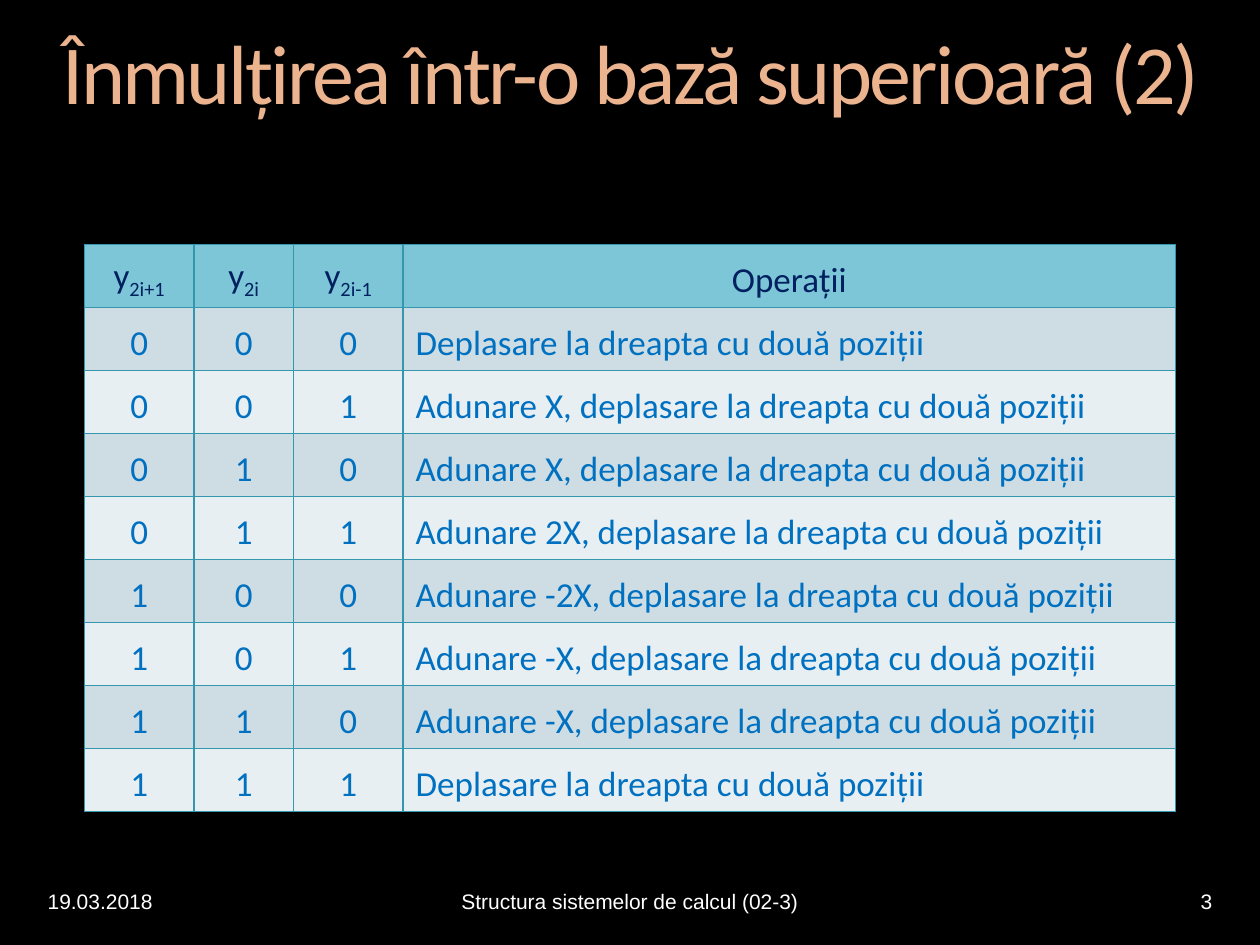
"""Build the slide on multiplication in a higher base, with its table of operations."""
import pptx
import pptx.dml.color
import pptx.enum.text
import pptx.oxml
import pptx.oxml.ns
import pptx.util

Inches = pptx.util.Inches
Pt = pptx.util.Pt
Align = pptx.enum.text.PP_ALIGN
Anchor = pptx.enum.text.MSO_ANCHOR

COLORS = {
    "background": "000000",
    "title": "ECB38F",
    "footer": "FFFFFF",
    "header_text": "002060",
    "body_text": "0070C0",
    "header_fill": "7CC6D8",
    "odd_fill": "CEDDE3",
    "even_fill": "E8EFF2",
    "border": "3497AE",
}


def rgb(name):
    return pptx.dml.color.RGBColor.from_string(COLORS[name])


def write_text(frame, text, subscript="", size=12, font="Calibri", color="footer",
               align=Align.LEFT, line_spacing=None, character_spacing=0):
    paragraph = frame.paragraphs[0]
    paragraph.alignment = align
    paragraph.line_spacing = line_spacing
    for content, baseline in ((text, 0), (subscript, -25000)):
        if not content:
            continue
        run = paragraph.add_run()
        run.text = content
        run.font.size = Pt(size)
        run.font.name = font
        run.font.color.rgb = rgb(color)
        properties = run._r.get_or_add_rPr()
        properties.set("lang", "ro-RO")
        if baseline:
            properties.set("baseline", str(baseline))
        if character_spacing:
            properties.set("spc", str(int(character_spacing * 100)))


presentation = pptx.Presentation()
presentation.slide_width = Inches(10)
presentation.slide_height = Inches(7.5)
slide = presentation.slides.add_slide(presentation.slide_layouts[6])
slide.background.fill.solid()
slide.background.fill.fore_color.rgb = rgb("background")

title = slide.shapes.add_textbox(Inches(0.42), Inches(0.25), Inches(9.17), Inches(0.73))
title_frame = title.text_frame
title_frame.word_wrap = True
title_frame.margin_left = title_frame.margin_right = 0
title_frame.margin_top = title_frame.margin_bottom = 0
write_text(title_frame, "Înmulțirea într-o bază superioară (2)", size=48, color="title",
           align=Align.CENTER, line_spacing=0.9, character_spacing=-1.5)

header_subscripts = ["2i+1", "2i", "2i-1"]
shift = "eplasare la dreapta cu două poziții"
added_multiples = ["", "X", "X", "2X", "-2X", "-X", "-X", ""]
rows = [[("y", subscript) for subscript in header_subscripts] + [("Operații", "")]]
for number, multiple in enumerate(added_multiples):
    operation = f"Adunare {multiple}, d{shift}" if multiple else f"D{shift}"
    rows.append([(bit, "") for bit in f"{number:03b}"] + [(operation, "")])

column_widths = [0.87, 0.79, 0.87, 6.13]
row_height = 0.5
table = slide.shapes.add_table(
    len(rows), len(column_widths), Inches(0.67), Inches(1.94),
    Inches(sum(column_widths)), Inches(row_height * len(rows))).table
for column, width in zip(table.columns, column_widths):
    column.width = Inches(width)

for row_index, row in enumerate(rows):
    table.rows[row_index].height = Inches(row_height)
    is_header = row_index == 0
    fill = "header_fill" if is_header else "odd_fill" if row_index % 2 else "even_fill"
    for column_index, (text, subscript) in enumerate(row):
        cell = table.cell(row_index, column_index)
        cell.vertical_anchor = Anchor.MIDDLE
        cell.margin_left = cell.margin_right = Inches(0.1)
        cell.margin_top = cell.margin_bottom = Inches(0.04)
        for side in "LRTB":
            cell._tc.get_or_add_tcPr().append(pptx.oxml.parse_xml(
                f'<a:ln{side} {pptx.oxml.ns.nsdecls("a")} w="{Pt(1)}"><a:solidFill>'
                f'<a:srgbClr val="{COLORS["border"]}"/></a:solidFill></a:ln{side}>'))
        cell.fill.solid()
        cell.fill.fore_color.rgb = rgb(fill)
        is_operation = column_index == 3 and not is_header
        write_text(cell.text_frame, text, subscript=subscript, size=20,
                   color="header_text" if is_header else "body_text",
                   align=Align.LEFT if is_operation else Align.CENTER,
                   line_spacing=Pt(30))

footers = [
    ("19.03.2018", 0.28, 2.36, Align.LEFT),
    ("Structura sistemelor de calcul (02-3)", 3.42, 3.16, Align.CENTER),
    ("3", 7.36, 2.36, Align.RIGHT),
]
for text, left, width, align in footers:
    footer = slide.shapes.add_textbox(Inches(left), Inches(6.95), Inches(width), Inches(0.4))
    footer.text_frame.word_wrap = True
    footer.text_frame.vertical_anchor = Anchor.MIDDLE
    write_text(footer.text_frame, text, font="Arial", align=align)

presentation.save("out.pptx")
